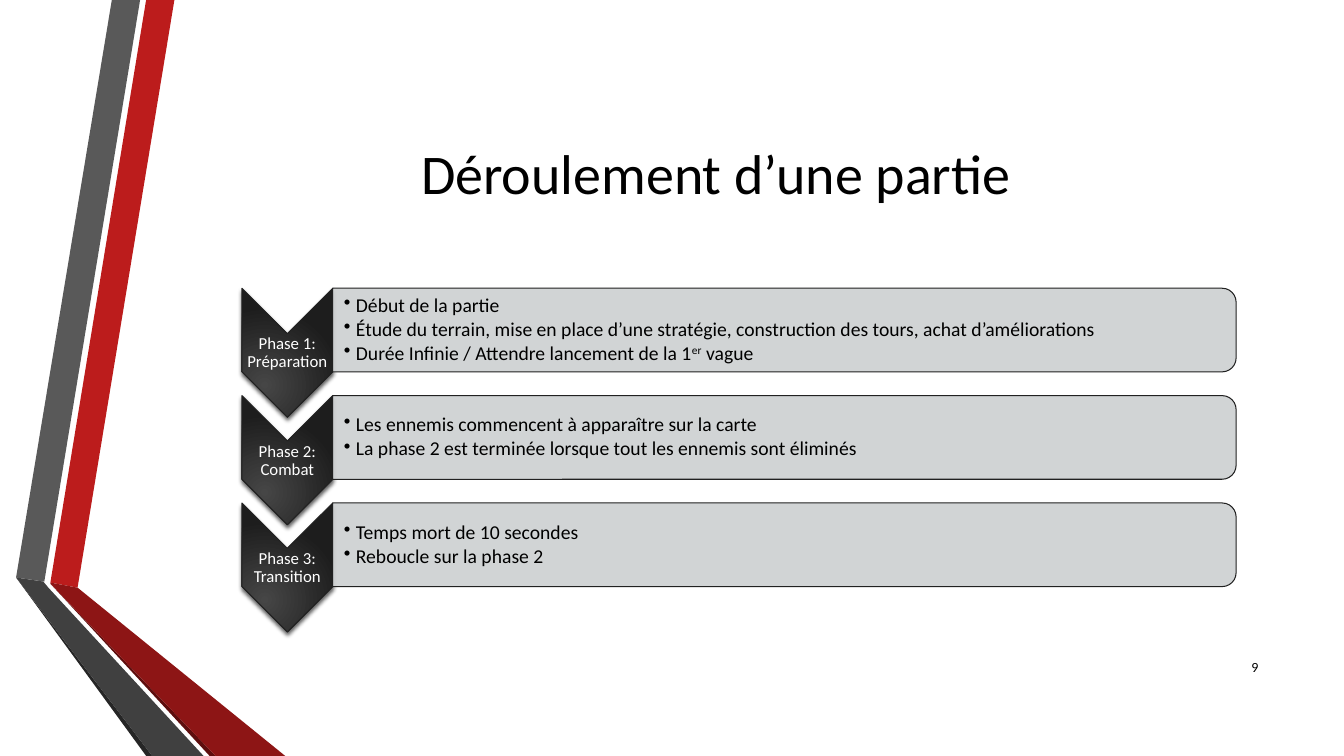
from lxml.etree import SubElement
from pptx import Presentation
from pptx.dml.color import RGBColor
from pptx.enum.shapes import MSO_SHAPE
from pptx.enum.text import MSO_ANCHOR, PP_ALIGN
from pptx.oxml import parse_xml
from pptx.oxml.ns import nsdecls, qn
from pptx.util import Inches, Pt

WHITE = RGBColor(0xFF, 0xFF, 0xFF)
BLACK = RGBColor(0x00, 0x00, 0x00)
OUTLINE = RGBColor(0x21, 0x21, 0x21)
PANEL = RGBColor(0xCD, 0xD0, 0xD1)
RED = RGBColor(0xBC, 0x1C, 0x1C)
RED_DARK = RGBColor(0x8D, 0x15, 0x15)
RED_DEEP = RGBColor(0x5E, 0x0E, 0x0E)
GRAY = RGBColor(0x59, 0x59, 0x59)
GRAY_DARK = RGBColor(0x40, 0x40, 0x40)
GRAY_DEEP = RGBColor(0x26, 0x26, 0x26)

RIBBONS = [
    (RED, [(0.5, 5.78), (0.77, 5.83), (1.73, 0), (1.45, 0)]),
    (GRAY, [(1.39, 0), (1.11, 0), (0.16, 5.73), (0.44, 5.77)]),
    (GRAY_DEEP, [(0.16, 5.73), (1.45, 7.5), (1.51, 7.5)]),
    (RED_DEEP, [(0.5, 5.79), (2.08, 7.5), (2.14, 7.5)]),
    (RED_DARK, [(0.5, 5.79), (2.14, 7.5), (2.83, 7.5), (0.77, 5.83), (0.5, 5.78)]),
    (GRAY_DARK, [(2.02, 7.5), (0.48, 5.83), (0.43, 5.77), (0.16, 5.73), (1.51, 7.5)]),
]

# Text between carets is superscript.
PHASES = [
    ("Phase 1: Préparation", [
        "Début de la partie",
        "Étude du terrain, mise en place d’une stratégie, construction des tours, "
        "achat d’améliorations",
        "Durée Infinie / Attendre lancement de la 1^er^ vague",
    ]),
    ("Phase 2: Combat", [
        "Les ennemis commencent à apparaître sur la carte",
        "La phase 2 est terminée lorsque tout les ennemis sont éliminés",
    ]),
    ("Phase 3: Transition", [
        "Temps mort de 10 secondes",
        "Reboucle sur la phase 2",
    ]),
]
FIRST_PHASE_TOP = 2.86
PHASE_STEP = 1.065

DARK_GRADIENT = f"""<a:gradFill {nsdecls('a')} rotWithShape="1"><a:gsLst>
<a:gs pos="0"><a:srgbClr val="464646"/></a:gs>
<a:gs pos="100000"><a:srgbClr val="1D1D1D"/></a:gs></a:gsLst>
<a:path path="circle"><a:fillToRect l="50000" t="100000" r="100000" b="50000"/></a:path>
</a:gradFill>"""
SOFT_SHADOW = f"""<a:outerShdw {nsdecls('a')} blurRad="38100" dist="25400" dir="5400000"
rotWithShape="0"><a:srgbClr val="000000"><a:alpha val="64000"/></a:srgbClr></a:outerShdw>"""


class SlideBuilder:
    font_name = "Calibri"

    def __init__(self, slide):
        self.slide = slide

    def ribbon(self, color, points):
        corners = [(Inches(x), Inches(y)) for x, y in points]
        builder = self.slide.shapes.build_freeform(*corners[0], scale=1.0)
        builder.add_line_segments(corners[1:], close=True)
        shape = builder.convert_to_shape()
        shape.shadow.inherit = False
        shape.fill.solid()
        shape.fill.fore_color.rgb = color
        shape.line.fill.background()

    def turned_shape(self, kind, left, top, width, height):
        """Add a shape rotated a quarter turn that covers the given box once turned."""
        shape = self.slide.shapes.add_shape(
            kind,
            Inches(left + (width - height) / 2), Inches(top + (height - width) / 2),
            Inches(height), Inches(width))
        shape.rotation = 90
        shape.shadow.inherit = False
        shape.line.color.rgb = OUTLINE
        shape.line.width = Pt(0.75)
        return shape

    def chevron(self, left, top, width, height):
        shape = self.turned_shape(MSO_SHAPE.CHEVRON, left, top, width, height)
        shape.fill.background()
        properties = shape._element.spPr
        properties.replace(properties.find(qn("a:noFill")), parse_xml(DARK_GRADIENT))
        properties.find(qn("a:effectLst")).append(parse_xml(SOFT_SHADOW))

    def panel(self, left, top, width, height):
        shape = self.turned_shape(
            MSO_SHAPE.ROUND_2_SAME_RECTANGLE, left, top, width, height)
        shape.fill.solid()
        shape.fill.fore_color.rgb = PANEL
        color = shape._element.spPr.find(qn("a:solidFill"))[0]
        SubElement(color, qn("a:alpha"), val="90000")

    def text(self, box, lines, size, color=BLACK, align=PP_ALIGN.LEFT,
             insets=(0.1, 0.05, 0.1, 0.05), space_after=None, bullets=False):
        """Add a text box; space_after is a percentage of the line."""
        frame = self.slide.shapes.add_textbox(*map(Inches, box)).text_frame
        frame.word_wrap = True
        frame.vertical_anchor = MSO_ANCHOR.MIDDLE
        (frame.margin_left, frame.margin_top,
         frame.margin_right, frame.margin_bottom) = map(Inches, insets)
        frame.text = "\n".join(line.split("^")[0] for line in lines)
        for paragraph, line in zip(frame.paragraphs, lines):
            for piece in line.split("^")[1:]:
                paragraph.add_run().text = piece
            paragraph.alignment = align
            if space_after:
                paragraph.line_spacing = 0.9
                properties = paragraph._p.get_or_add_pPr()
                spacing = SubElement(properties, qn("a:spcAft"))
                SubElement(spacing, qn("a:spcPct"), val=str(space_after * 1000))
            if bullets:
                paragraph.level = 1
                properties.set("marL", str(Inches(0.12)))
                properties.set("indent", str(Inches(-0.12)))
                SubElement(properties, qn("a:buChar"), char="•")
            for index, run in enumerate(paragraph.runs):
                run.font.name = self.font_name
                run.font.size = Pt(size)
                run.font.color.rgb = color
                if index % 2:
                    run._r.get_or_add_rPr().set("baseline", "30000")

    def phase(self, top, label, details):
        self.chevron(2.4, top, 0.9, 1.28)
        self.text((2.4, top + 0.45, 0.9, 0.39), [label], 12, WHITE,
                  PP_ALIGN.CENTER, insets=(0.01,) * 4, space_after=35)
        self.panel(3.3, top, 8.96, 0.83)
        self.text((3.3, top + 0.04, 8.92, 0.75), details, 14,
                  insets=(0.11, 0.01, 0.01, 0.01), space_after=15, bullets=True)


def main():
    presentation = Presentation()
    presentation.slide_width = Inches(13.33)
    presentation.slide_height = Inches(7.5)
    builder = SlideBuilder(presentation.slides.add_slide(presentation.slide_layouts[6]))
    for color, points in RIBBONS:
        builder.ribbon(color, points)
    builder.text((1.62, 0.75, 10.96, 1.92), ["Déroulement d’une partie"], 40,
                 align=PP_ALIGN.CENTER)
    builder.text((11.98, 6.42, 0.6, 0.4), ["9"], 10, align=PP_ALIGN.RIGHT)
    for index, (label, details) in enumerate(PHASES):
        builder.phase(FIRST_PHASE_TOP + index * PHASE_STEP, label, details)
    presentation.save("out.pptx")


if __name__ == "__main__":
    main()
